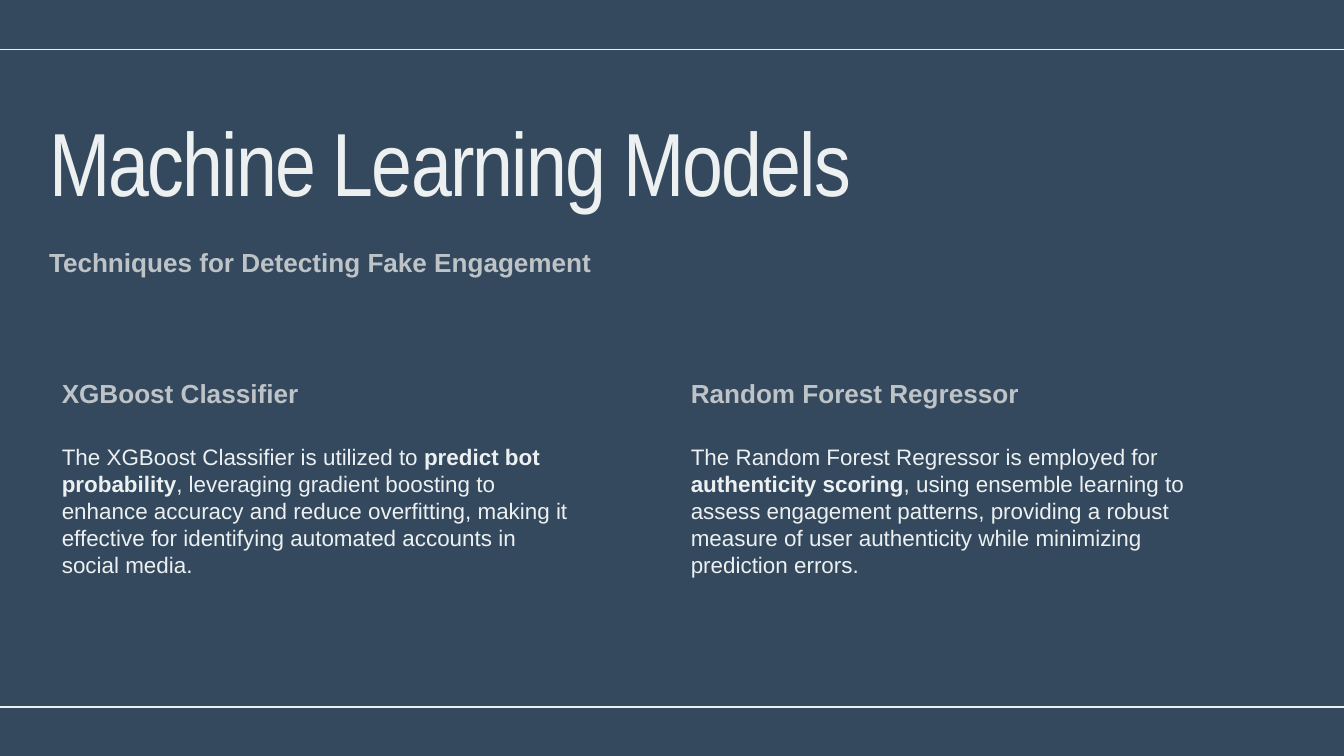
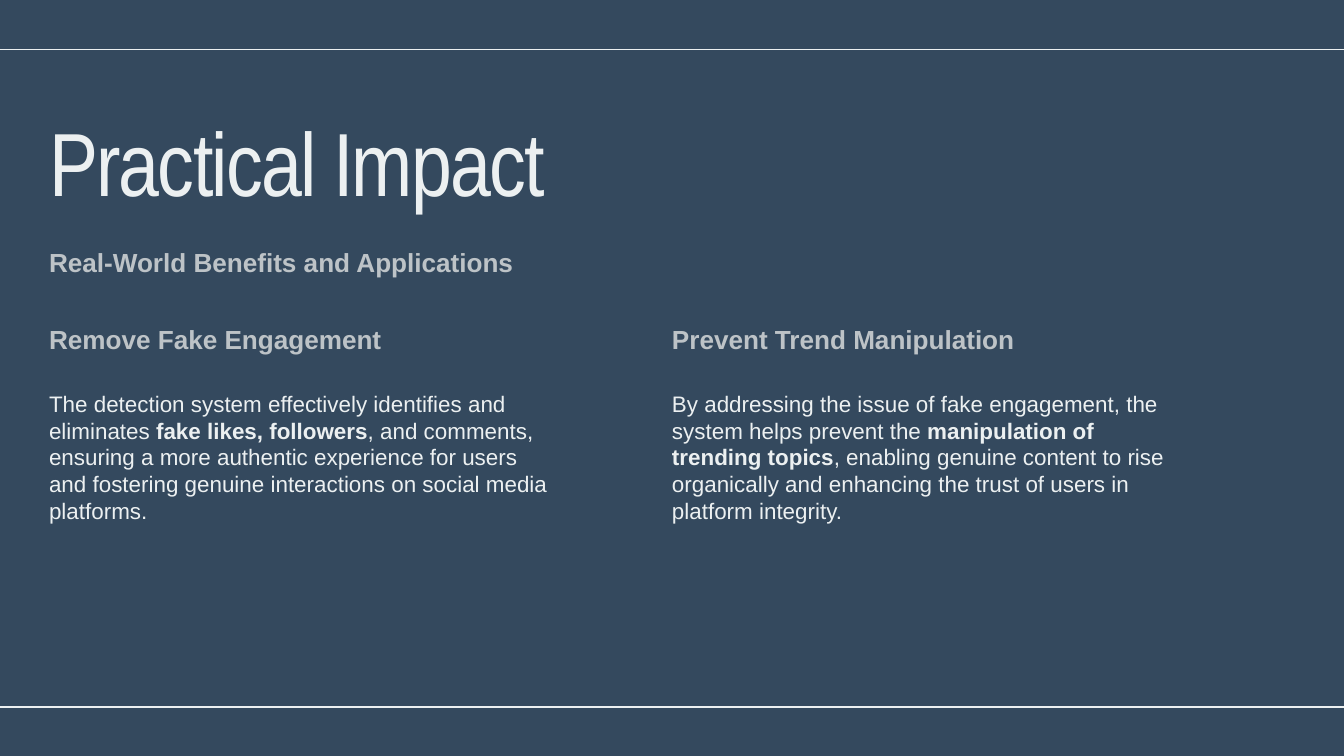
from lxml.etree import SubElement
from pptx import Presentation
from pptx.dml.color import RGBColor
from pptx.enum.shapes import MSO_CONNECTOR
from pptx.enum.text import MSO_AUTO_SIZE
from pptx.oxml.ns import qn
from pptx.util import Inches, Pt

WIDTH, HEIGHT = 20, 11.25
MARGIN = 0.73
NAVY, WHITE, GREY = "34495E", "ECF0F1", "BDC3C7"
RULES = (0.74, 10.52)
TITLE_TOP, SUBTITLE_TOP = 1.86, 3.67
COLUMN_WIDTH, BODY_DROP = 7.53, 0.98

STYLES = {
    "title": dict(font="Arial Narrow", size=96, leading=96, color=WHITE, height=1.45, tracking=-1.9),
    "heading": dict(font="Arial", size=28, leading=33.6, color=GREY, height=0.46, bold=True),
    "body": dict(font="Arial", size=24, leading=28.8, color=WHITE, height=1.98),
}

SLIDES = [
    {
        "title": "Machine Learning Models",
        "subtitle": "Techniques for Detecting Fake Engagement",
        "origin": (0.92, 5.62),
        "pitch": 9.36,
        "columns": [
            ("XGBoost Classifier",
             ("The XGBoost Classifier is utilized to ",
              "predict bot probability",
              ", leveraging gradient boosting to enhance accuracy and reduce overfitting, "
              "making it effective for identifying automated accounts in social media.")),
            ("Random Forest Regressor",
             ("The Random Forest Regressor is employed for ",
              "authenticity scoring",
              ", using ensemble learning to assess engagement patterns, providing a robust "
              "measure of user authenticity while minimizing prediction errors.")),
        ],
    },
    {
        "title": "Practical Impact",
        "subtitle": "Real-World Benefits and Applications",
        "origin": (MARGIN, 4.82),
        "pitch": 9.27,
        "columns": [
            ("Remove Fake Engagement",
             ("The detection system effectively identifies and eliminates ",
              "fake likes, followers",
              ", and comments, ensuring a more authentic experience for users and fostering "
              "genuine interactions on social media platforms.")),
            ("Prevent Trend Manipulation",
             ("By addressing the issue of fake engagement, the system helps prevent the ",
              "manipulation of trending topics",
              ", enabling genuine content to rise organically and enhancing the trust of "
              "users in platform integrity.")),
        ],
    },
]


def rgb(value):
    return RGBColor.from_string(value)


def add_text(shapes, left, top, width, style_name, phrases):
    style = STYLES[style_name]
    box = shapes.add_textbox(Inches(left), Inches(top), Inches(width), Inches(style["height"]))
    frame = box.text_frame
    frame.word_wrap = True
    frame.auto_size = MSO_AUTO_SIZE.SHAPE_TO_FIT_TEXT
    frame.margin_left = frame.margin_right = frame.margin_top = frame.margin_bottom = 0
    paragraph = frame.paragraphs[0]
    paragraph.line_spacing = Pt(style["leading"])
    for position, phrase in enumerate(phrases):
        run = paragraph.add_run()
        run.text = phrase
        run.font.name = style["font"]
        run.font.size = Pt(style["size"])
        run.font.color.rgb = rgb(style["color"])
        run.font.bold = style.get("bold", position % 2 == 1)
        if "tracking" in style:
            run._r.get_or_add_rPr().set("spc", str(round(style["tracking"] * 100)))


def add_rule(slide, y):
    rule = slide.shapes.add_connector(MSO_CONNECTOR.STRAIGHT, 0, Inches(y), Inches(WIDTH), Inches(y))
    rule.line.color.rgb = rgb(WHITE)
    rule.line.width = Pt(1.5)
    SubElement(rule._element.spPr, qn("a:effectLst"))


def add_column(slide, left, top, heading, phrases):
    shapes = slide.shapes.add_group_shape().shapes
    add_text(shapes, left, top, COLUMN_WIDTH, "heading", [heading])
    add_text(shapes, left, top + BODY_DROP, COLUMN_WIDTH, "body", phrases)


def add_header(slide, title, subtitle):
    shapes = slide.shapes.add_group_shape().shapes
    width = WIDTH - 2 * MARGIN
    add_text(shapes, MARGIN, TITLE_TOP, width, "title", [title])
    add_text(shapes, MARGIN, SUBTITLE_TOP, width, "heading", [subtitle])


def add_content_slide(deck, content):
    slide = deck.slides.add_slide(deck.slide_layouts[6])
    slide.background.fill.solid()
    slide.background.fill.fore_color.rgb = rgb(NAVY)
    left, top = content["origin"]
    for index, (heading, phrases) in enumerate(content["columns"]):
        add_column(slide, left + index * content["pitch"], top, heading, phrases)
    add_header(slide, content["title"], content["subtitle"])
    for y in RULES:
        add_rule(slide, y)


def main():
    deck = Presentation()
    deck.slide_width, deck.slide_height = Inches(WIDTH), Inches(HEIGHT)
    for content in SLIDES:
        add_content_slide(deck, content)
    deck.save("out.pptx")


if __name__ == "__main__":
    main()
